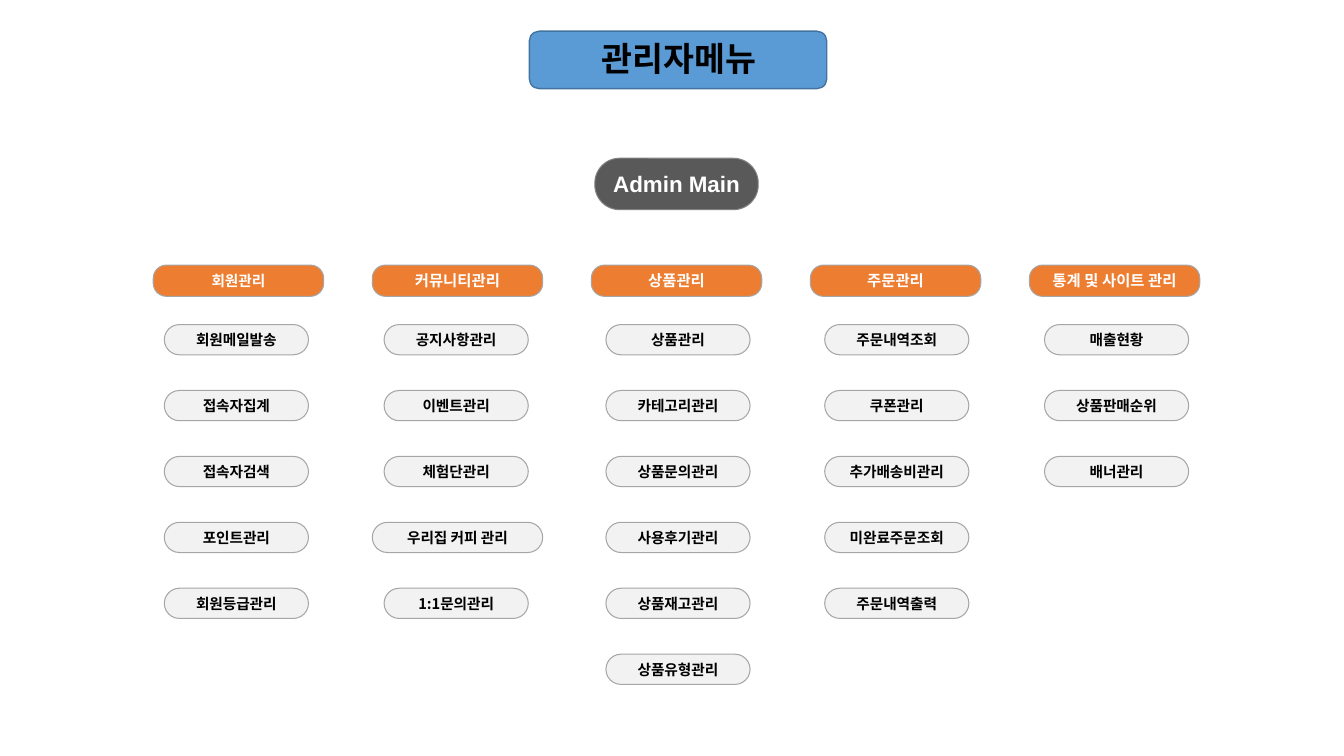
from lxml.etree import SubElement
from pptx import Presentation
from pptx.dml.color import RGBColor
from pptx.enum.shapes import MSO_SHAPE
from pptx.enum.text import MSO_ANCHOR, MSO_AUTO_SIZE, PP_ALIGN
from pptx.oxml.ns import qn
from pptx.util import Inches, Pt

BLUE = RGBColor(0x5B, 0x9B, 0xD5)
DARK_BLUE = RGBColor(0x43, 0x73, 0x9E)
CHARCOAL = RGBColor(0x59, 0x59, 0x59)
GRAY = RGBColor(0x80, 0x80, 0x80)
SILVER = RGBColor(0xA6, 0xA6, 0xA6)
ORANGE = RGBColor(0xED, 0x7D, 0x31)
PALE = RGBColor(0xF2, 0xF2, 0xF2)
BLACK = RGBColor(0, 0, 0)
WHITE = RGBColor(255, 255, 255)
KOREAN = "Noto Sans CJK KR"

HEADER_LEFT, HEADER_PITCH, HEADER_WIDTH = 1.52, (10.21 - 1.52) / 4, 1.69
ITEM_TOP, ITEM_PITCH, ITEM_WIDTH = 3.22, (6.49 - 3.22) / 5, 1.43
WIDE_ITEM = "우리집 커피 관리"

MENUS = [
    ("회원관리", 10.5, 1.63,
     ["회원메일발송", "접속자집계", "접속자검색", "포인트관리", "회원등급관리"]),
    ("커뮤니티관리", 11, 3.81,
     ["공지사항관리", "이벤트관리", "체험단관리", WIDE_ITEM, "1:1문의관리"]),
    ("상품관리", 11, 6.01,
     ["상품관리", "카테고리관리", "상품문의관리", "사용후기관리", "상품재고관리", "상품유형관리"]),
    ("주문관리", 11, 8.18,
     ["주문내역조회", "쿠폰관리", "추가배송비관리", "미완료주문조회", "주문내역출력"]),
    ("통계 및 사이트 관리", 11, 10.36,
     ["매출현황", "상품판매순위", "배너관리"]),
]


def write(shape, text, size, color, font_name=KOREAN):
    shape.text_frame.text = text
    para = shape.text_frame.paragraphs[0]
    para.font.size = Pt(size)
    para.font.bold = True
    para.font.color.rgb = color
    para.font.name = font_name
    east_asian = SubElement(para._p.pPr.find(qn("a:defRPr")), qn("a:ea"))
    east_asian.set("typeface", font_name)
    return para


def add_pill(left, top, width, height, rounding, fill, line, text="", size=10.5,
             color=BLACK, font_name=KOREAN, line_width=0.75):
    box = page.shapes.add_shape(MSO_SHAPE.ROUNDED_RECTANGLE, Inches(left), Inches(top),
                                Inches(width), Inches(height))
    box.adjustments[0] = rounding
    box.shadow.inherit = False
    box.fill.solid()
    box.fill.fore_color.rgb = fill
    box.line.color.rgb = line
    box.line.width = Pt(line_width)
    if text:
        frame = box.text_frame
        frame.margin_left = frame.margin_right = Inches(0.02)
        frame.margin_top = frame.margin_bottom = Inches(0.02)
        frame.vertical_anchor = MSO_ANCHOR.MIDDLE
        para = write(box, text, size, color, font_name)
        para.alignment = PP_ALIGN.CENTER
        para.space_before = Pt(1)
    return box


deck = Presentation()
deck.slide_width = Inches(13.33)
deck.slide_height = Inches(7.5)
page = deck.slides.add_slide(deck.slide_layouts[5])

banner = add_pill(5.25, 0.31, 2.95, 0.57, 0.17, BLUE, DARK_BLUE, line_width=1)
title = page.shapes.title
title.left, title.top = Inches(5.87), Inches(0.33)
title.width, title.height = Inches(1.9), Inches(0.5)
title.text_frame.word_wrap = True
title.text_frame.auto_size = MSO_AUTO_SIZE.SHAPE_TO_FIT_TEXT
title.text_frame.vertical_anchor = MSO_ANCHOR.TOP
write(title, "관리자메뉴", 24, BLACK).alignment = PP_ALIGN.LEFT
banner.element.addnext(title.element)

add_pill(5.9, 1.57, 1.62, 0.51, 0.48, CHARCOAL, GRAY, "Admin Main", 16, WHITE, "Arial")

for column, (header, header_size, item_left, items) in enumerate(MENUS):
    header_left = HEADER_LEFT + column * HEADER_PITCH
    add_pill(header_left, 2.63, HEADER_WIDTH, 0.31, 0.42, ORANGE, SILVER,
             header, header_size, WHITE)
    for row, item in enumerate(items):
        wide = item == WIDE_ITEM
        add_pill(header_left if wide else item_left, ITEM_TOP + row * ITEM_PITCH,
                 HEADER_WIDTH if wide else ITEM_WIDTH, 0.3, 0.5, PALE, SILVER, item)

deck.save("out.pptx")
